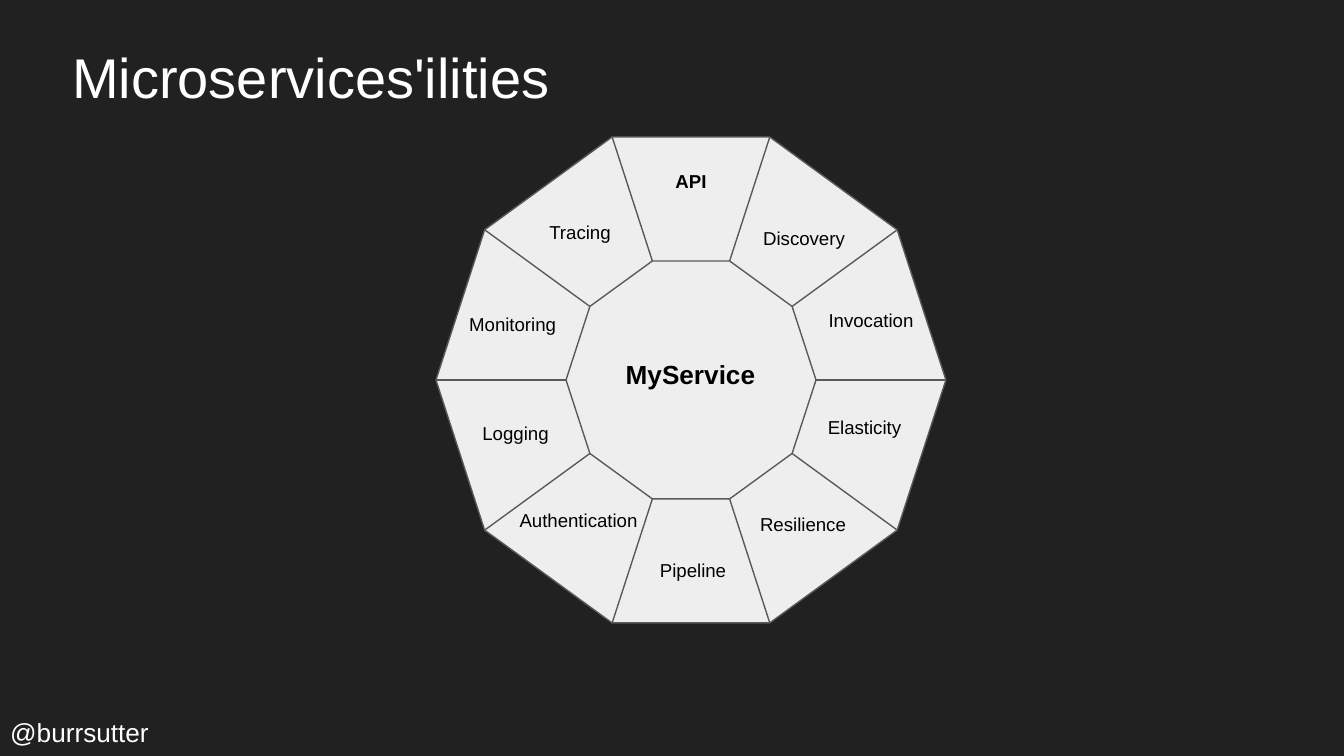
import math

import pptx
import pptx.dml.color
import pptx.enum.shapes
import pptx.enum.text
import pptx.oxml
import pptx.util

SHAPE = pptx.enum.shapes.MSO_SHAPE
ALIGN = pptx.enum.text.PP_ALIGN
ANCHOR = pptx.enum.text.MSO_ANCHOR

FONT = "Arial"
DARK, PALE, GREY = "212121", "EEEEEE", "595959"
BLACK, WHITE = "000000", "FFFFFF"

MID = (691, 380)
OUTER = (255, 243)  # half width, half height
INNER = (125, 119)
SIDES = 10

# text, left, top, width
LABELS = [
    ("Tracing", 519, 210, 122),
    ("API", 630, 159, 122),
    ("Discovery", 743, 216, 122),
    ("Invocation", 810, 298, 122),
    ("Elasticity", 788, 405, 153),
    ("Resilience", 738, 502, 130),
    ("Pipeline", 628, 548, 130),
    ("Authentication", 502, 498, 153),
    ("Logging", 435, 411, 161),
    ("Monitoring", 456, 302, 122),
]


def px(count):
    return pptx.util.Emu(round(count * 914400 / 134.4))


def rgb(code):
    return pptx.dml.color.RGBColor.from_string(code)


def rule(line):
    line.color.rgb = rgb(GREY)
    line.width = pptx.util.Pt(0.75)


def add_ring(slide, half, fill=None):
    """Add a decagon around MID."""
    wide, high = half
    ring = slide.shapes.add_shape(
        SHAPE.DECAGON, px(MID[0] - wide), px(MID[1] - high), px(2 * wide), px(2 * high))
    ring.shadow.inherit = False
    if fill:
        ring.fill.solid()
        ring.fill.fore_color.rgb = rgb(fill)
    else:
        ring.fill.background()
    rule(ring.line)


def corner(half, step):
    """Return a decagon corner, counted clockwise from the right."""
    turn = 2 * math.pi * step / SIDES
    # The top and bottom sides lie at sin 72 degrees and touch the frame.
    return (px(MID[0] + half[0] * math.cos(turn)),
            px(MID[1] + half[1] * math.sin(turn) / math.sin(math.radians(72))))


def add_spoke(slide, step):
    spoke = slide.shapes.add_connector(
        pptx.enum.shapes.MSO_CONNECTOR.STRAIGHT, *corner(INNER, step), *corner(OUTER, step))
    rule(spoke.line)
    spoke.element.spPr.append(pptx.oxml.parse_xml(
        '<a:effectLst xmlns:a="http://schemas.openxmlformats.org/drawingml/2006/main"/>'))


def add_text(slide, text, left, top, width, height, size, color=BLACK,
             bold=False, align=ALIGN.CENTER, anchor=ANCHOR.TOP):
    box = slide.shapes.add_textbox(px(left), px(top), px(width), px(height))
    frame = box.text_frame
    frame.word_wrap = True
    frame.vertical_anchor = anchor
    frame.margin_left = frame.margin_right = pptx.util.Inches(0.1)
    frame.margin_top = frame.margin_bottom = pptx.util.Inches(0.1)
    frame.text = text
    para = frame.paragraphs[0]
    para.alignment = align
    font = para.runs[0].font
    font.name, font.size, font.bold = FONT, pptx.util.Pt(size), bold
    font.color.rgb = rgb(color)
    return para


def main():
    deck = pptx.Presentation()
    deck.slide_width, deck.slide_height = px(1344), px(756)
    slide = deck.slides.add_slide(deck.slide_layouts[6])
    slide.background.fill.solid()
    slide.background.fill.fore_color.rgb = rgb(DARK)

    add_ring(slide, OUTER, PALE)
    add_ring(slide, INNER)
    for step in range(SIDES):
        add_spoke(slide, step)

    add_text(slide, "MyService", 610, 345, 161, 71, 14, bold=True)
    for text, left, top, width in LABELS:
        align = ALIGN.LEFT if text == "Monitoring" else ALIGN.CENTER
        add_text(slide, text, left, top, width, 40, 10, bold=text == "API", align=align)

    title = add_text(slide, "Microservices'ilities", 59, 7, 1159, 146, 30, WHITE,
                     align=ALIGN.LEFT, anchor=ANCHOR.MIDDLE)
    title.line_spacing = 0.9
    add_text(slide, "@burrsutter", -3, 703, 190, 53, 14, WHITE, align=ALIGN.LEFT)

    deck.save("out.pptx")


if __name__ == "__main__":
    main()
